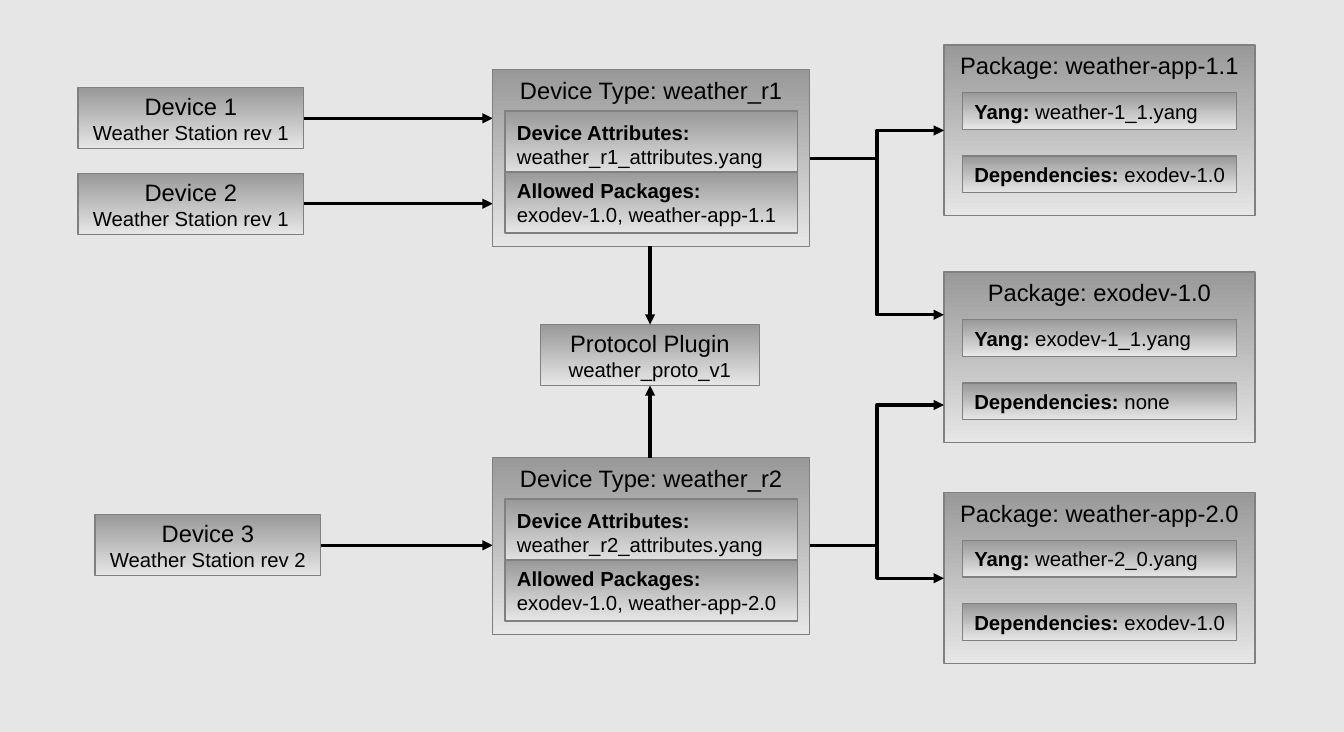
import copy
from dataclasses import dataclass

import pptx
import pptx.dml.color
import pptx.enum.shapes
import pptx.enum.text
import pptx.oxml
import pptx.oxml.ns
import pptx.util

SCALE = 9144  # EMU in one px, 100 px to the inch
ALIGN = pptx.enum.text.PP_ALIGN
ANCHOR = pptx.enum.text.MSO_ANCHOR
KIND = pptx.enum.shapes.MSO_CONNECTOR
RECT = pptx.enum.shapes.MSO_SHAPE.RECTANGLE


@dataclass(frozen=True)
class Theme:
    font: str = "Arial"
    title: int = 14
    body: int = 12
    ink: str = "000000"
    edge: str = "808080"
    dark: str = "999999"
    light: str = "E6E6E6"


THEME = Theme()


def px(count):
    return pptx.util.Emu(count * SCALE)


def color(code):
    return pptx.dml.color.RGBColor.from_string(code)


def element(xml):
    return pptx.oxml.parse_xml(xml.replace("/>", f" {pptx.oxml.ns.nsdecls('a')}/>"))


# Text: each line is a list of (words, size, bold) runs
def write(para, lines):
    for index, line in enumerate(lines):
        if index:
            para.add_line_break()
            # The break takes the type size of the run before it
            para._p[-1].append(copy.deepcopy(run._r.rPr))
        for words, size, bold in line:
            run = para.add_run()
            run.text = words
            run.font.name = THEME.font
            run.font.size = pptx.util.Pt(size)
            run.font.bold = bold
            run.font.color.rgb = color(THEME.ink)


# Shaded rectangle with text
def box(shapes, left, top, width, height, lines,
        align=ALIGN.CENTER, anchor=ANCHOR.MIDDLE):
    shape = shapes.add_shape(RECT, px(left), px(top), px(width), px(height))
    shape.shadow.inherit = False
    shape.fill.gradient()
    shape.fill.gradient_angle = 270
    for stop, shade in zip(shape.fill.gradient_stops, (THEME.dark, THEME.light)):
        stop.color.rgb = color(shade)
    shape.line.color.rgb = color(THEME.edge)
    shape.line.width = 0
    frame = shape.text_frame
    frame.word_wrap = False
    frame.vertical_anchor = anchor
    para = frame.paragraphs[0]
    para.alignment = align
    write(para, lines)


# Box with a name over a smaller note
def node(shapes, left, top, width, name, note):
    box(shapes, left, top, width, 50,
        [[(name, THEME.title, False)], [(note, THEME.body, False)]])


# Group: a titled frame that holds smaller boxes
def panel(shapes, left, top, width, height, title):
    inner = shapes.add_group_shape().shapes
    box(inner, left, top, width, height,
        [[(title, THEME.title, False)]], anchor=ANCHOR.TOP)
    return inner


def pack(shapes, top, name, yang, needs):
    inner = panel(shapes, 774, top, 255, 140, f"Package: {name}")
    rows = (("Yang:", yang), ("Dependencies:", needs))
    for index, (label, value) in enumerate(rows):
        line = [(label, THEME.body, True), (f" {value}", THEME.body, False)]
        box(inner, 789, top + 39 + 52 * index, 225, 30, [line], ALIGN.LEFT)


def model(shapes, top, name, allowed):
    inner = panel(shapes, 404, top, 260, 145, f"Device Type: {name}")
    rows = (
        ("Device Attributes: ", f"{name}_attributes.yang", 34, 55, ANCHOR.MIDDLE),
        ("Allowed Packages:", allowed, 84, 50, ANCHOR.BOTTOM),
    )
    for label, value, shift, height, anchor in rows:
        lines = [[(label, THEME.body, True)], [(value, THEME.body, False)]]
        box(inner, 414, top + shift, 240, height, lines, ALIGN.LEFT, anchor)


# Arrow, straight when its ends are level and bent otherwise
def arrow(shapes, x1, y1, x2, y2):
    kind = KIND.STRAIGHT if x1 == x2 or y1 == y2 else KIND.ELBOW
    link = shapes.add_connector(kind, px(x1), px(y1), px(x2), px(y2))
    link.line.color.rgb = color(THEME.ink)
    link.line.width = 0
    link.line._get_or_add_ln().append(element('<a:tailEnd type="triangle"/>'))
    link._element.spPr.append(element("<a:effectLst/>"))


def main():
    deck = pptx.Presentation()
    deck.slide_width, deck.slide_height = px(1102), px(600)
    slide = deck.slides.add_slide(deck.slide_layouts[6])
    slide.background.fill.solid()
    slide.background.fill.fore_color.rgb = color(THEME.light)
    shapes = slide.shapes

    # Devices, each with an arrow to its type
    for left, top, number, rev in ((64, 72, 1, 1), (64, 142, 2, 1), (78, 422, 3, 2)):
        node(shapes, left, top, 185, f"Device {number}", f"Weather Station rev {rev}")
        arrow(shapes, left + 185, top + 25, 404, top + 25)

    # Device types and the plugin they share
    model(shapes, 57, "weather_r1", "exodev-1.0, weather-app-1.1")
    model(shapes, 375, "weather_r2", "exodev-1.0, weather-app-2.0")
    node(shapes, 443, 266, 180, "Protocol Plugin", "weather_proto_v1")
    arrow(shapes, 533, 202, 533, 266)
    arrow(shapes, 533, 375, 533, 316)

    # Packages
    pack(shapes, 37, "weather-app-1.1", "weather-1_1.yang", "exodev-1.0")
    pack(shapes, 223, "exodev-1.0", "exodev-1_1.yang", "none")
    pack(shapes, 404, "weather-app-2.0", "weather-2_0.yang", "exodev-1.0")

    # Arrows from types to packages
    for start, end in ((130, 107), (130, 258), (447, 332), (447, 474)):
        arrow(shapes, 664, start, 774, end)

    deck.save("out.pptx")


if __name__ == "__main__":
    main()
